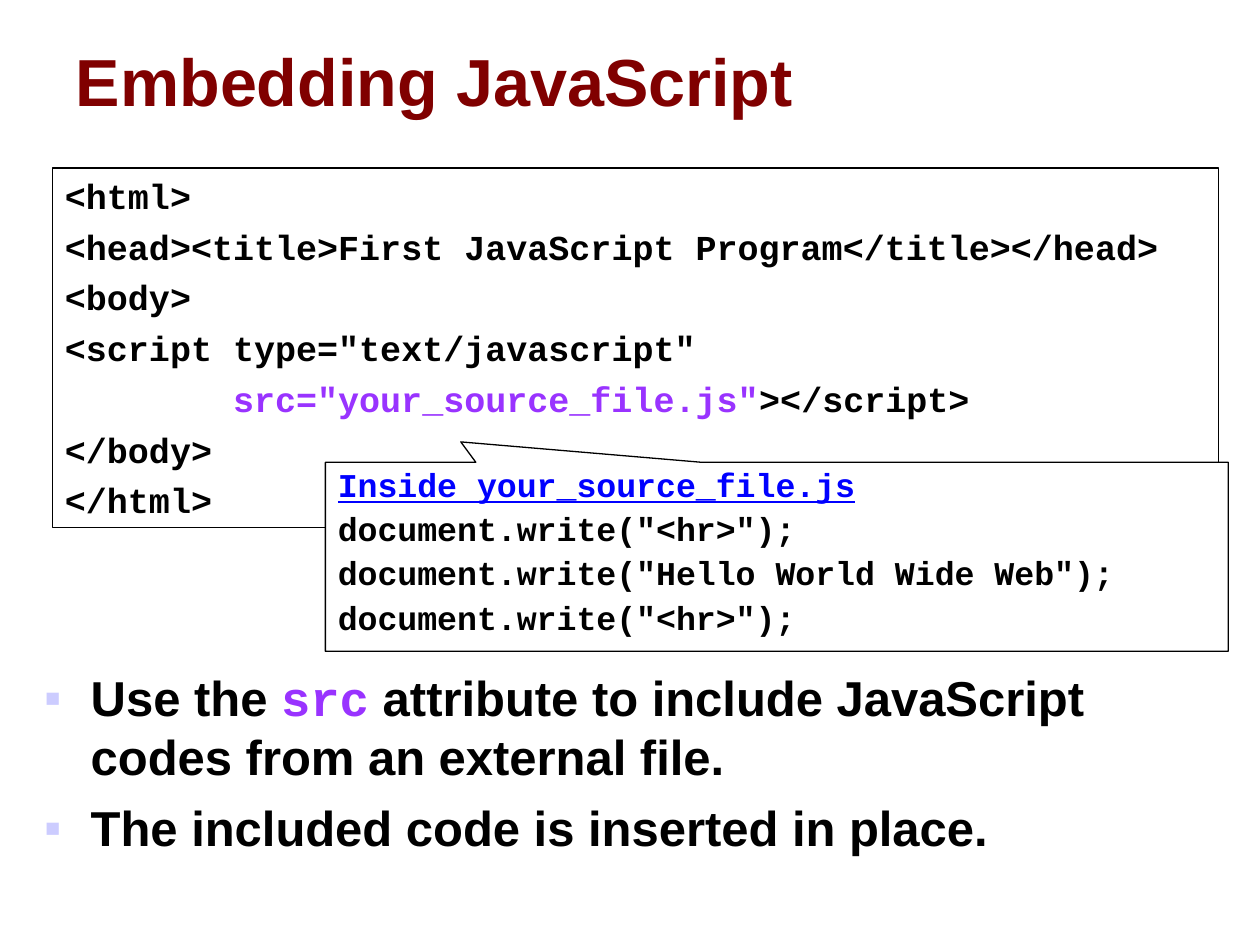
from dataclasses import dataclass

from lxml import etree
from pptx import Presentation
from pptx.dml.color import RGBColor
from pptx.enum.shapes import MSO_SHAPE
from pptx.enum.text import MSO_ANCHOR, PP_ALIGN
from pptx.oxml.ns import qn
from pptx.util import Cm, Pt

RECTANGLE = MSO_SHAPE.RECTANGLE
CALLOUT = MSO_SHAPE.RECTANGULAR_CALLOUT
TOP, MIDDLE = MSO_ANCHOR.TOP, MSO_ANCHOR.MIDDLE
LEFT = PP_ALIGN.LEFT
SANS, MONO = "Arial", "Courier New"
COLORS = {
    "title": "800000",
    "text": "000000",
    "accent": "9933FF",
    "heading": "0000FF",
    "bullet": "CCCCFF",
    "paper": "FFFFFF",
}


@dataclass
class Span:
    text: str
    color: str = "text"
    font: str = ""


@dataclass
class Line:
    spans: list[Span]
    indent: float = 0
    hanging: float = 0
    bullet: str = ""
    underline: bool = False


@dataclass
class Style:
    font: str
    size: float
    space_before: float = 0
    line_spacing: float = 1.0


@dataclass
class Box:
    left: float
    top: float
    width: float
    height: float


def color(name: str) -> RGBColor:
    return RGBColor.from_string(COLORS[name])


def set_indent(paragraph, line: Line) -> None:
    properties = paragraph._p.get_or_add_pPr()
    properties.set("marL", str(Cm(line.indent)))
    properties.set("indent", str(-Cm(line.hanging)))
    if line.bullet:
        bullet_color = etree.SubElement(properties, qn("a:buClr"))
        etree.SubElement(bullet_color, qn("a:srgbClr"), val=COLORS["bullet"])
        etree.SubElement(properties, qn("a:buFont"), typeface=SANS)
        etree.SubElement(properties, qn("a:buChar"), char=line.bullet)


def write_lines(frame, lines: list[Line], style: Style, anchor=TOP) -> None:
    frame.word_wrap = True
    frame.vertical_anchor = anchor
    for index, line in enumerate(lines):
        paragraph = frame.add_paragraph() if index else frame.paragraphs[0]
        paragraph.alignment = LEFT
        paragraph.space_before = Pt(style.space_before)
        paragraph.line_spacing = style.line_spacing
        set_indent(paragraph, line)
        paragraph.font.size = Pt(style.size)
        paragraph.font.bold = True
        paragraph.font.underline = line.underline
        same_font = not any(span.font for span in line.spans)
        same_color = len({span.color for span in line.spans}) == 1
        if same_font:
            paragraph.font.name = style.font
        if same_color:
            paragraph.font.color.rgb = color(line.spans[0].color)
        for span in line.spans:
            run = paragraph.add_run()
            run.text = span.text
            if not same_font:
                run.font.name = span.font or style.font
            if not same_color:
                run.font.color.rgb = color(span.color)


def add_text(slide, box: Box, lines: list[Line], style: Style, anchor=TOP) -> None:
    area = slide.shapes.add_textbox(Cm(box.left), Cm(box.top), Cm(box.width), Cm(box.height))
    write_lines(area.text_frame, lines, style, anchor)


def add_code(slide, kind, box: Box, lines: list[Line], style: Style, pointer=()) -> None:
    panel = slide.shapes.add_shape(kind, Cm(box.left), Cm(box.top), Cm(box.width), Cm(box.height))
    panel.shadow.inherit = False
    panel.fill.solid()
    panel.fill.fore_color.rgb = color("paper")
    panel.line.color.rgb = color("text")
    panel.line.width = Pt(0.75)
    for index, value in enumerate(pointer):
        panel.adjustments[index] = value
    write_lines(panel.text_frame, lines, style)


def main() -> None:
    """Build the slide on embedding JavaScript from an external file."""
    deck = Presentation()
    deck.slide_width, deck.slide_height = Cm(25.4), Cm(19.05)
    blank_layout = deck.slide_layouts[6]
    slide = deck.slides.add_slide(blank_layout)

    title = [Line([Span("Embedding JavaScript", "title")])]
    add_text(slide, Box(1.28, 0.46, 22.86, 2.29), title, Style(SANS, 38), MIDDLE)

    rules = [
        [
            Span("Use the "),
            Span("src", "accent", MONO),
            Span(" attribute to include JavaScript codes from an external file."),
        ],
        [Span("The included code is inserted in place.")],
    ]
    bullets = [Line(spans, indent=0.94, hanging=0.94, bullet="▪") for spans in rules]
    add_text(slide, Box(0.64, 13.34, 23.5, 4.24), bullets, Style(SANS, 28, 7))

    page = [
        Line([Span("<html>")]),
        Line([Span("<head><title>First JavaScript Program</title></head>")]),
        Line([Span("<body>")]),
        Line([Span('<script type="text/javascript"')]),
        Line([Span('src="your_source_file.js"', "accent"), Span("></script>")], indent=3.39),
        Line([Span("</body>")]),
        Line([Span("</html>")]),
    ]
    add_code(slide, RECTANGLE, Box(1.06, 3.39, 23.5, 7.24), page, Style(MONO, 20, 5))

    source_file = [Line([Span("Inside your_source_file.js", "heading")], underline=True)]
    for content in ("<hr>", "Hello World Wide Web", "<hr>"):
        source_file.append(Line([Span(f'document.write("{content}");')]))
    add_code(slide, CALLOUT, Box(6.56, 9.32, 18.2, 3.81), source_file,
             Style(MONO, 19, 4.8, 0.9), pointer=(-0.35, -0.608))

    deck.save("out.pptx")


if __name__ == "__main__":
    main()
